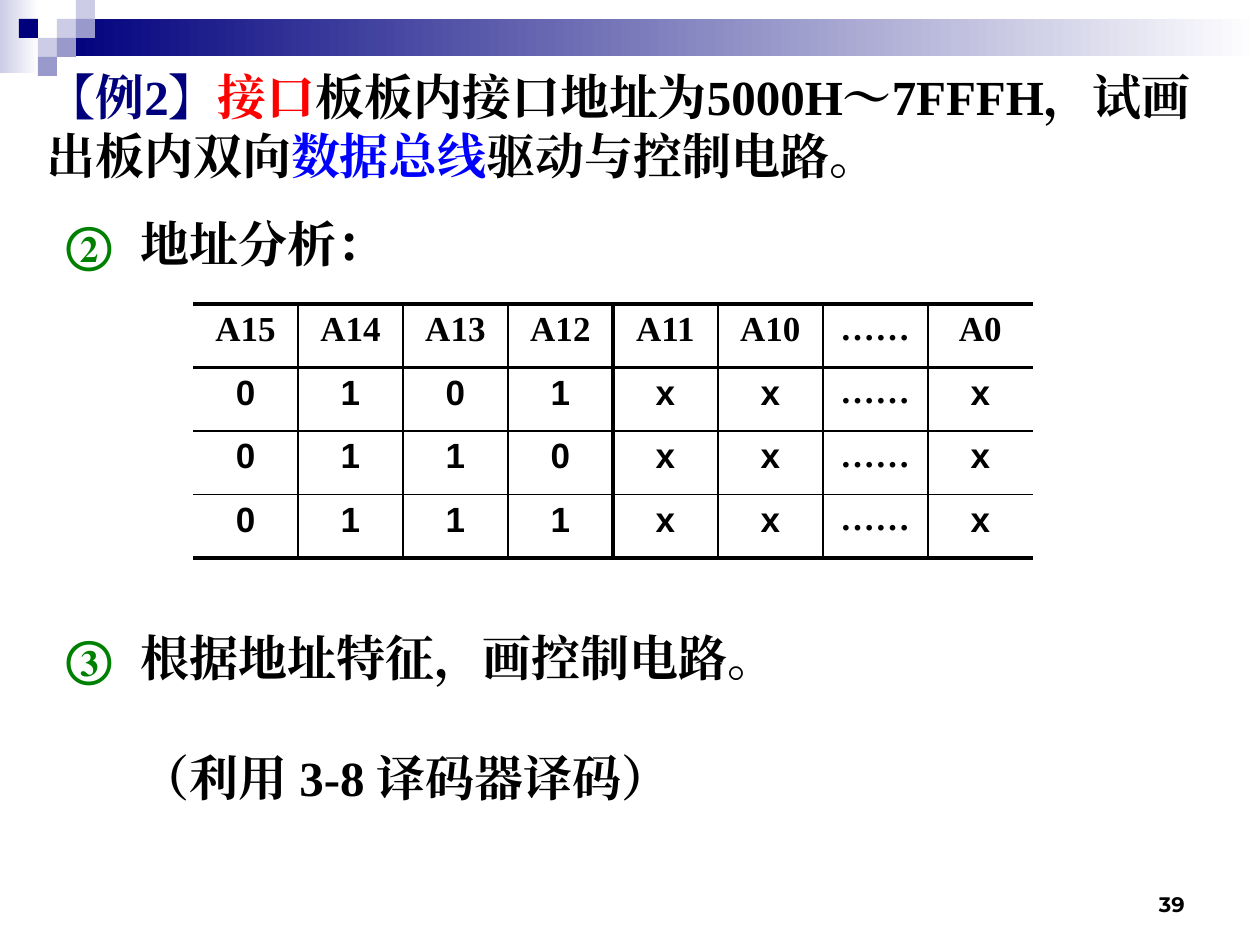
"""Builds the address analysis slide for the bus driver example."""
from dataclasses import dataclass

from lxml.etree import SubElement
from pptx import Presentation
from pptx.dml.color import RGBColor
from pptx.enum.shapes import MSO_SHAPE
from pptx.enum.text import MSO_ANCHOR, PP_ALIGN
from pptx.oxml.ns import qn
from pptx.util import Pt


@dataclass(frozen=True)
class Theme:
    navy: str = "00007D"
    lilac: str = "CCCCE6"
    violet: str = "9999CC"
    white: str = "FFFFFF"
    black: str = "000000"
    red: str = "FF0000"
    blue: str = "0000FF"
    green: str = "008000"
    serif: str = "Times New Roman"
    sans: str = "Arial"
    cjk: str = "Noto Sans CJK SC"
    number: str = "Montserrat"
    body: int = 28
    cell: int = 20
    small: int = 12
    thin: float = 1
    thick: float = 2.25


T = Theme()
PX = 914400 // 126
SQUARE = 19

BANDS = [((0, 0, 39, 73), T.lilac), ((57, 19, 1203, 37), T.navy)]
SQUARES = [(3, 1, T.lilac), (4, 0, T.lilac), (4, 1, T.violet), (2, 2, T.lilac),
           (1, 1, T.navy), (3, 2, T.violet), (2, 3, T.violet)]
TITLE = [("【例2】", T.navy), ("接口", T.red),
         ("板板内接口地址为5000H～7FFFH，试画出板内双向", T.black),
         ("数据总线", T.blue), ("驱动与控制电路。", T.black)]
STEPS = [("地址分析：", True, 0), ("根据地址特征，画控制电路。", True, 203),
         ("（利用 3-8 译码器译码）", False, 35)]
ROWS = [["A15", "A14", "A13", "A12", "A11", "A10", "……", "A0"],
        ["0", "1", "0", "1", "x", "x", "……", "x"],
        ["0", "1", "1", "0", "x", "x", "……", "x"],
        ["0", "1", "1", "1", "x", "x", "……", "x"]]
THICK_ROWS = {0, 1, len(ROWS)}
THICK_COLS = {4}
PAGE = "39"


def emu(*lengths):
    return [n * PX for n in lengths]


def style(r, font, size, color, bold=True):
    r.font.name, r.font.size, r.font.bold = font, Pt(size), bold
    r.font.color.rgb = RGBColor.from_string(color)
    SubElement(r.font._element, qn("a:ea"), typeface=font)


def add_rect(s, box, color, fade=False):
    sp = s.shapes.add_shape(MSO_SHAPE.RECTANGLE, *emu(*box))
    sp.shadow.inherit = False
    sp.line.fill.background()
    if fade:
        sp.fill.gradient()
        sp.fill.gradient_angle = 0
        for stop, tone in zip(sp.fill.gradient_stops, (color, T.white)):
            stop.color.rgb = RGBColor.from_string(tone)
    else:
        sp.fill.solid()
        sp.fill.fore_color.rgb = RGBColor.from_string(color)


def add_text(s, box):
    tf = s.shapes.add_textbox(*emu(*box)).text_frame
    tf.word_wrap = True
    return tf


def add_steps(s):
    tf = add_text(s, (54, 207, 1171, 655))
    for i, (text, numbered, gap) in enumerate(STEPS):
        p = tf.add_paragraph() if i else tf.paragraphs[0]
        p.text = text
        pPr = p._p.get_or_add_pPr()
        pPr.set("marL", str(74 * PX))
        pPr.set("indent", str(-74 * PX if numbered else 0))
        if numbered:
            SubElement(SubElement(pPr, qn("a:buClr")), qn("a:srgbClr"), val=T.green)
            SubElement(pPr, qn("a:buAutoNum"), type="circleNumDbPlain", startAt="2")
        p.space_before = Pt(gap)
        style(p.runs[0], T.serif, T.body, T.black)


def rule_width(index, last, thick, open_ends):
    if open_ends and index in (0, last):
        return 0
    return T.thick if index in thick else T.thin


def set_borders(cell, row, col):
    tcPr = cell._tc.get_or_add_tcPr()
    widths = {}
    for side, i in (("L", col), ("R", col + 1)):
        widths[side] = rule_width(i, len(ROWS[0]), THICK_COLS, True)
    for side, i in (("T", row), ("B", row + 1)):
        widths[side] = rule_width(i, len(ROWS), THICK_ROWS, False)
    for side, width in widths.items():
        ln = SubElement(tcPr, qn(f"a:ln{side}"), w=str(Pt(width)))
        if width:
            SubElement(SubElement(ln, qn("a:solidFill")), qn("a:srgbClr"), val=T.black)
        else:
            SubElement(ln, qn("a:noFill"))


def add_address_table(s):
    table = s.shapes.add_table(len(ROWS), len(ROWS[0]), *emu(193, 304, 840, 254)).table
    table.first_row = table.horz_banding = False
    for i, row in enumerate(ROWS):
        for j, text in enumerate(row):
            cell = table.cell(i, j)
            cell.text = text
            set_borders(cell, i, j)
            cell.fill.background()
            p = cell.text_frame.paragraphs[0]
            p.alignment = PP_ALIGN.CENTER
            font = T.cjk if text == "……" else T.sans if i else T.serif
            style(p.runs[0], font, T.cell, T.black)


def main():
    prs = Presentation()
    prs.slide_width, prs.slide_height = emu(1260, 945)
    s = prs.slides.add_slide(prs.slide_layouts[6])
    for box, color in BANDS:
        add_rect(s, box, color, fade=True)
    for col, row, color in SQUARES:
        add_rect(s, (col * SQUARE, row * SQUARE, SQUARE, SQUARE), color)

    p = add_text(s, (34, 60, 1191, 144)).paragraphs[0]
    for text, color in TITLE:
        r = p.add_run()
        r.text = text
        style(r, T.serif, T.body, color)

    tf = add_text(s, (903, 879, 294, 44))
    tf.vertical_anchor = MSO_ANCHOR.BOTTOM
    p = tf.paragraphs[0]
    p.text = PAGE
    p.alignment = PP_ALIGN.RIGHT
    style(p.runs[0], T.number, T.small, T.black)

    add_steps(s)
    add_address_table(s)
    prs.save("out.pptx")


if __name__ == "__main__":
    main()
